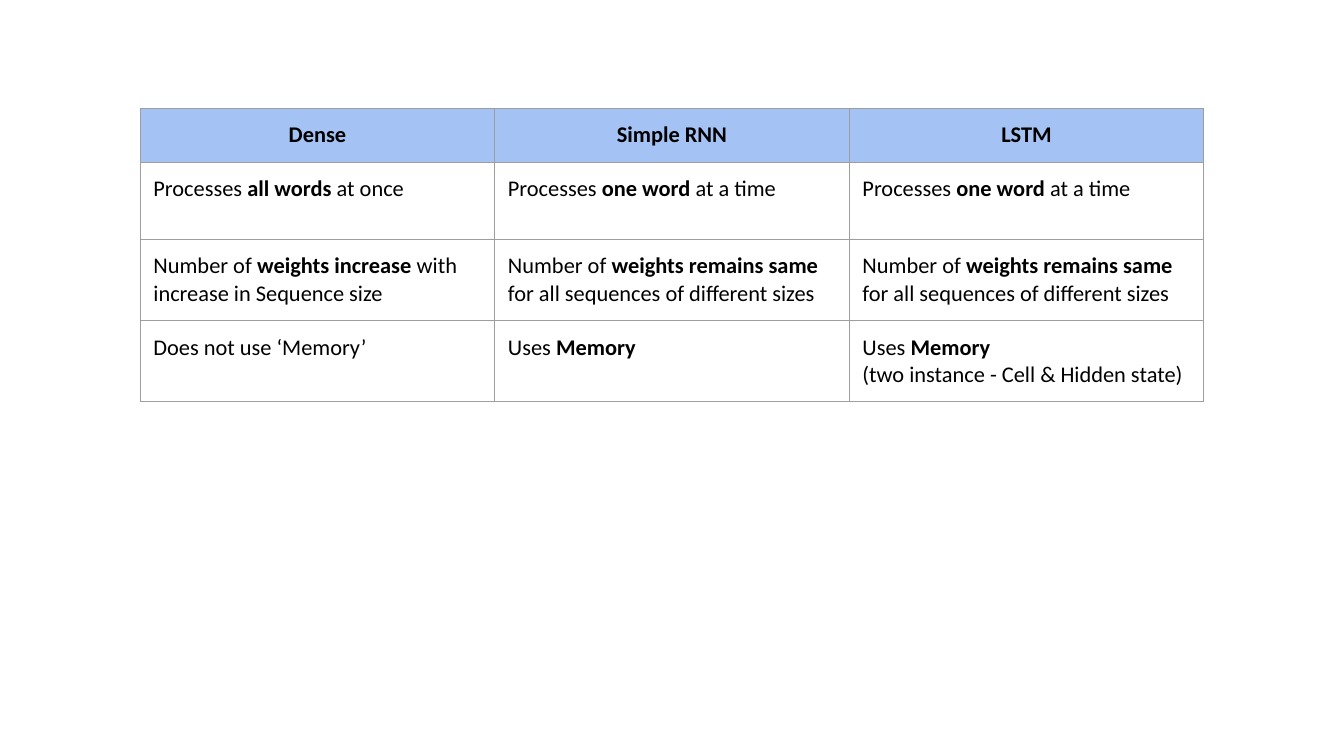
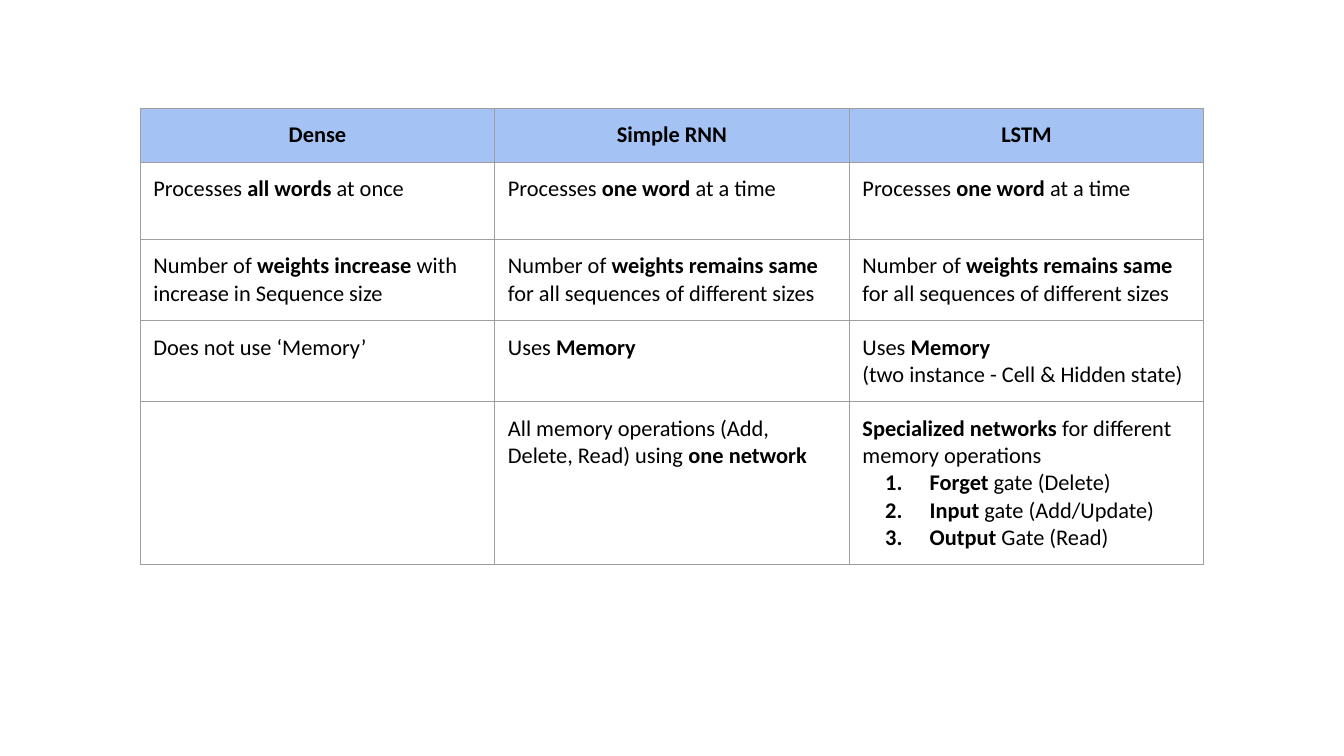
from lxml import etree
from pptx import Presentation
from pptx.dml.color import RGBColor
from pptx.enum.text import PP_ALIGN
from pptx.oxml.ns import qn
from pptx.util import Cm, Pt

LEFT, CENTER = PP_ALIGN.LEFT, PP_ALIGN.CENTER
COLORS = {"text": "000000", "header": "A4C2F4", "border": "9E9E9E"}
FONT = "Calibri"
BLANK_LAYOUT = 6

TABLE_LEFT, TABLE_TOP = Cm(2.65), Cm(2.05)
COLUMN_WIDTH = Cm(6.7)
HEADER_HEIGHT, ROW_HEIGHT = Cm(0.94), Cm(1.46)
CELL_MARGIN = Cm(0.25)
BORDER_WIDTH = Pt(0.75)
LIST_MARGIN, LIST_INDENT = Cm(1.27), Cm(-0.84)
LIST_MARK = "# "

HEADINGS = ["Dense", "Simple RNN", "LSTM"]
# **bold** marks bold words, "# " starts a numbered line.
BASIC_ROWS = [
    [
        "Processes **all words** at once",
        "Processes **one word** at a time",
        "Processes **one word** at a time",
    ],
    [
        "Number of **weights increase** with increase in Sequence size",
        "Number of **weights remains same** for all sequences of different sizes",
        "Number of **weights remains same** for all sequences of different sizes",
    ],
    [
        "Does not use ‘Memory’",
        "Uses **Memory**",
        "Uses **Memory**\n(two instance - Cell & Hidden state)",
    ],
]
OPERATIONS_ROW = [
    "",
    "All memory operations (Add, Delete, Read) using **one network**",
    "**Specialized networks** for different memory operations\n"
    "# **Forget** gate (Delete)\n"
    "# **Input** gate (Add/Update)\n"
    "# **Output** Gate (Read)",
]


def number_paragraph(paragraph):
    properties = paragraph._p.get_or_add_pPr()
    properties.set("marL", str(LIST_MARGIN))
    properties.set("indent", str(LIST_INDENT))
    bullet_color = etree.SubElement(properties, qn("a:buClr"))
    etree.SubElement(bullet_color, qn("a:srgbClr"), val=COLORS["text"])
    etree.SubElement(properties, qn("a:buAutoNum"), type="arabicPeriod")


def write_text(frame, text, size=12, align=LEFT, color="text"):
    """Write marked-up lines: **bold** words and "# " numbered lines."""
    frame.word_wrap = True
    for index, line in enumerate(text.split("\n")):
        paragraph = frame.paragraphs[0] if index == 0 else frame.add_paragraph()
        paragraph.alignment = align
        paragraph.font.size = Pt(size)
        if line.startswith(LIST_MARK):
            number_paragraph(paragraph)
        for part, words in enumerate(line.removeprefix(LIST_MARK).split("**")):
            if words:
                run = paragraph.add_run()
                run.text = words
                run.font.name = FONT
                run.font.size = Pt(size)
                run.font.bold = part % 2 == 1
                run.font.color.rgb = RGBColor.from_string(COLORS[color])


def draw_borders(cell):
    properties = cell._tc.get_or_add_tcPr()
    for position, side in enumerate(("lnL", "lnR", "lnT", "lnB")):
        line = etree.Element(qn(f"a:{side}"), w=str(BORDER_WIDTH))
        fill = etree.SubElement(line, qn("a:solidFill"))
        etree.SubElement(fill, qn("a:srgbClr"), val=COLORS["border"])
        properties.insert(position, line)


def fill_cell(cell, text, is_header):
    cell.margin_left = cell.margin_right = CELL_MARGIN
    cell.margin_top = cell.margin_bottom = CELL_MARGIN
    if is_header:
        cell.fill.solid()
        cell.fill.fore_color.rgb = RGBColor.from_string(COLORS["header"])
        write_text(cell.text_frame, f"**{text}**", align=CENTER)
    else:
        cell.fill.background()
        write_text(cell.text_frame, text)
    draw_borders(cell)


def add_comparison(slide, left, top, column_width, body_rows):
    rows = [HEADINGS, *body_rows]
    height = HEADER_HEIGHT + ROW_HEIGHT * len(body_rows)
    comparison = slide.shapes.add_table(
        len(rows), len(HEADINGS), left, top, column_width * len(HEADINGS), height
    ).table
    comparison.first_row = comparison.horz_banding = False
    for column in comparison.columns:
        column.width = column_width
    for row_index, texts in enumerate(rows):
        is_header = row_index == 0
        comparison.rows[row_index].height = HEADER_HEIGHT if is_header else ROW_HEIGHT
        for column_index, text in enumerate(texts):
            fill_cell(comparison.cell(row_index, column_index), text, is_header)


def main():
    deck = Presentation()
    deck.slide_width, deck.slide_height = Cm(25.4), Cm(14.29)
    for body_rows in (BASIC_ROWS, [*BASIC_ROWS, OPERATIONS_ROW]):
        slide = deck.slides.add_slide(deck.slide_layouts[BLANK_LAYOUT])
        add_comparison(slide, TABLE_LEFT, TABLE_TOP, COLUMN_WIDTH, body_rows)
    deck.save("out.pptx")


if __name__ == "__main__":
    main()
